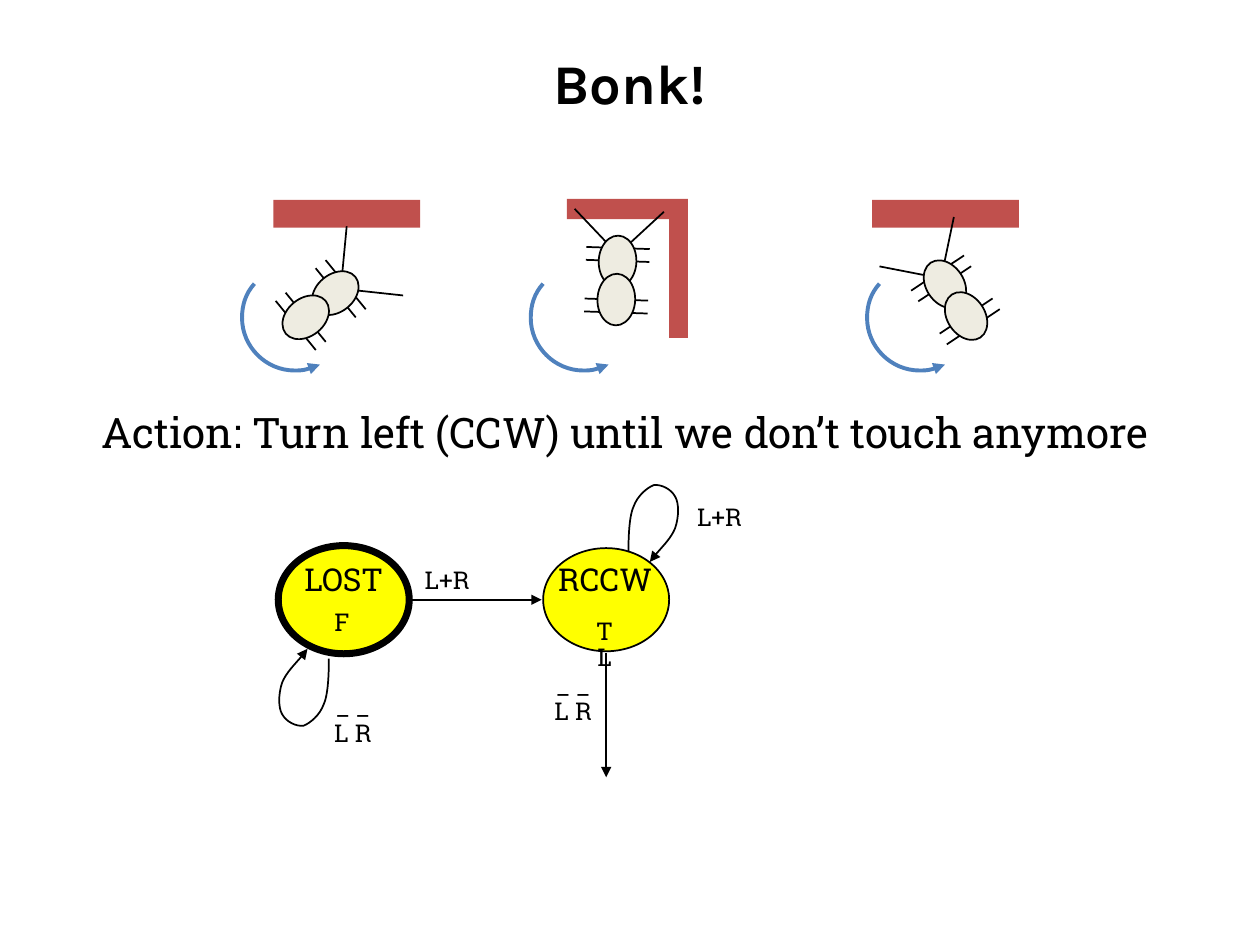
"""Build the Bonk! slide: three ants at walls and the state machine that turns them."""
from math import cos, radians, sin

from lxml import etree
from pptx import Presentation, util as u
from pptx.dml.color import RGBColor
from pptx.enum import shapes as es, text as et
from pptx.oxml.ns import qn

BLACK = RGBColor(0x00, 0x00, 0x00)
YELLOW = RGBColor(0xFF, 0xFF, 0x00)
RED = RGBColor(0xC0, 0x50, 0x4D)
BLUE = RGBColor(0x4F, 0x81, 0xBD)
CREAM = RGBColor(0xEE, 0xEC, 0xE1)

LOOP = [(0, -.15), (0, -.69), (.1, -.91), (.18, -1.14), (.38, -1.3), (.51, -1.35),
        (.66, -1.37), (.86, -1.27), (.94, -1.12), (1.02, -.99), (1.02, -.71),
        (.94, -.48), (.86, -.28), (.53, .05), (.43, .2)]
TURN = [(-.18, .2), (-.25, .43), (-.25, .69), (-.25, 1.27), (.23, 1.75),
        (.81, 1.75), (.99, 1.75), (1.17, 1.7), (1.32, 1.63)]


def label(slide, box, *lines, size=14, font="Roboto Slab", bold=None,
          wrap=False, space=.9, inset=(.18, .08), anchor=et.MSO_ANCHOR.TOP):
    """Add centred text, one paragraph a line."""
    frame = slide.shapes.add_textbox(*map(u.Cm, box)).text_frame
    frame.word_wrap = wrap
    frame.vertical_anchor = anchor
    frame.margin_left = frame.margin_right = u.Cm(inset[0])
    frame.margin_top = frame.margin_bottom = u.Cm(inset[1])
    for i, line in enumerate(lines):
        para = frame.add_paragraph() if i else frame.paragraphs[0]
        para.alignment = et.PP_ALIGN.CENTER
        para.line_spacing = space
        run = para.add_run()
        run.text = line
        run.font.size = u.Pt(size)
        run.font.name = font
        run.font.bold = bold
        run.font.color.rgb = BLACK


def paint(shape, fill=None, line=None, width=1):
    """Set fill and line, and drop the shadow."""
    shape.shadow.inherit = False
    if fill is None:
        shape.fill.background()
    else:
        shape.fill.solid()
        shape.fill.fore_color.rgb = fill
    if line is None:
        shape.line.fill.background()
    else:
        shape.line.color.rgb = line
        shape.line.width = u.Pt(width)


def shape(slide, kind, box, fill, line=None, width=1, turn=0):
    """Add a painted preset shape."""
    item = slide.shapes.add_shape(kind, *map(u.Cm, box))
    item.rotation = turn
    paint(item, fill, line, width)


def oval(slide, box, fill, width=1, turn=0):
    """Add an ellipse with a black outline."""
    shape(slide, es.MSO_SHAPE.OVAL, box, fill, BLACK, width, turn)


def tip(item):
    """Put a triangle at the end of a line."""
    etree.SubElement(item.line._get_or_add_ln(), qn("a:tailEnd"), type="triangle")


def line(slide, start, end, arrow=False):
    """Add a thin black straight line."""
    item = slide.shapes.add_connector(
        es.MSO_CONNECTOR.STRAIGHT, *map(u.Cm, (*start, *end)))
    item.line.color.rgb = BLACK
    item.line.width = u.Pt(1)
    etree.SubElement(item._element.spPr, qn("a:effectLst"))
    if arrow:
        tip(item)


def outline(slide, start, steps, sign=1, close=False):
    """Build a freeform from a start and steps measured from it."""
    x, y = start
    form = slide.shapes.build_freeform(u.Cm(x), u.Cm(y))
    form.add_line_segments(
        [(u.Cm(x + sign * dx), u.Cm(y + sign * dy)) for dx, dy in steps], close=close)
    return form.convert_to_shape()


def curve(slide, start, steps, color, width=1, sign=1):
    """Add a curved arrow whose steps are taken three to each cubic segment."""
    item = outline(slide, start, steps, sign)
    paint(item, line=color, width=width)
    tip(item)
    route = item._element.find(".//" + qn("a:path"))
    parts = route.findall(qn("a:lnTo"))
    for i in range(0, len(parts), 3):
        bend = etree.SubElement(route, qn("a:cubicBezTo"))
        for part in parts[i:i + 3]:
            bend.append(part[0])
            route.remove(part)


def ant(slide, x, y, turn):
    """Draw an ant with its head at x, y, turned clockwise by degrees."""
    c, s = cos(radians(turn)), sin(radians(turn))

    def spot(dx, dy):
        return x + dx * c - dy * s, y + dx * s + dy * c

    for side in (1, -1):
        line(slide, spot(side * .9, -1.03), spot(side * .13, -.27))
    for dy in (.77, 1.03, -.27, -.01):
        line(slide, spot(-.64, dy), spot(.64, dy))
    for dy in (0, .77):
        cx, cy = spot(0, dy)
        oval(slide, (cx - .38, cy - .52, .76, 1.04), CREAM, turn=turn)


def states(slide):
    """Draw the state machine."""
    oval(slide, (5.61, 11, 2.64, 2.18), YELLOW, width=4)
    label(slide, (5.84, 11.3, 2.18, .84), "LOST", size=18, space=.88)
    label(slide, (6.55, 12.22, .69, .69), "F")
    line(slide, (8.23, 12.09), (10.92, 12.09), arrow=True)
    label(slide, (8.33, 11.38, 1.37, .69), "L+R")
    label(slide, (6.53, 13.92, 1.17, 1.22), "_ _", "L R")
    curve(slide, (6.63, 13.28), LOOP, BLACK, sign=-1)

    oval(slide, (10.95, 11.05, 2.54, 2.08), YELLOW)
    label(slide, (10.97, 11.3, 2.46, .84), "RCCW", size=18, space=.88)
    line(slide, (12.22, 13.16), (12.22, 15.67), arrow=True)
    label(slide, (13.82, 10.11, 1.37, .69), "L+R")
    label(slide, (11.73, 12.4, .92, .69), "TL", wrap=True)
    label(slide, (10.97, 13.49, 1.17, 1.22), "_ _", "L R")
    curve(slide, (12.67, 11.13), LOOP, BLACK)


def bumps(slide):
    """Draw the walls, the ants and their turns."""
    for x in (5.51, 17.58):
        shape(slide, es.MSO_SHAPE.RECTANGLE, (x, 4.03, 2.96, .56), RED)
    nook = outline(slide, (11.43, 4.01),
                   [(2.44, 0), (2.44, 2.8), (2.06, 2.8), (2.06, .41), (0, .41)],
                   close=True)
    paint(nook, RED)
    for x, y, turn in ((6.76, 5.91, 50.8), (19.05, 5.73, 326.4), (12.45, 5.27, 1.9)):
        ant(slide, x, y, turn)
    for x in (5.13, 10.95, 17.73):
        curve(slide, (x, 5.72), TURN, BLUE, width=2.25)


def main():
    """Build and save the slide."""
    deck = Presentation()
    deck.slide_width, deck.slide_height = u.Cm(25.4), u.Cm(19.05)
    slide = deck.slides.add_slide(deck.slide_layouts[6])
    states(slide)
    bumps(slide)
    label(slide, (1.07, 8.26, 23.06, 1.07),
          "Action: Turn left (CCW) until we don’t touch anymore",
          size=24, wrap=True, space=.87)
    label(slide, (1.27, .76, 22.86, 1.78), "Bonk!", size=32, font="Karla", bold=True,
          wrap=True, space=1, inset=(.25, .13), anchor=et.MSO_ANCHOR.MIDDLE)
    deck.save("out.pptx")


if __name__ == "__main__":
    main()
